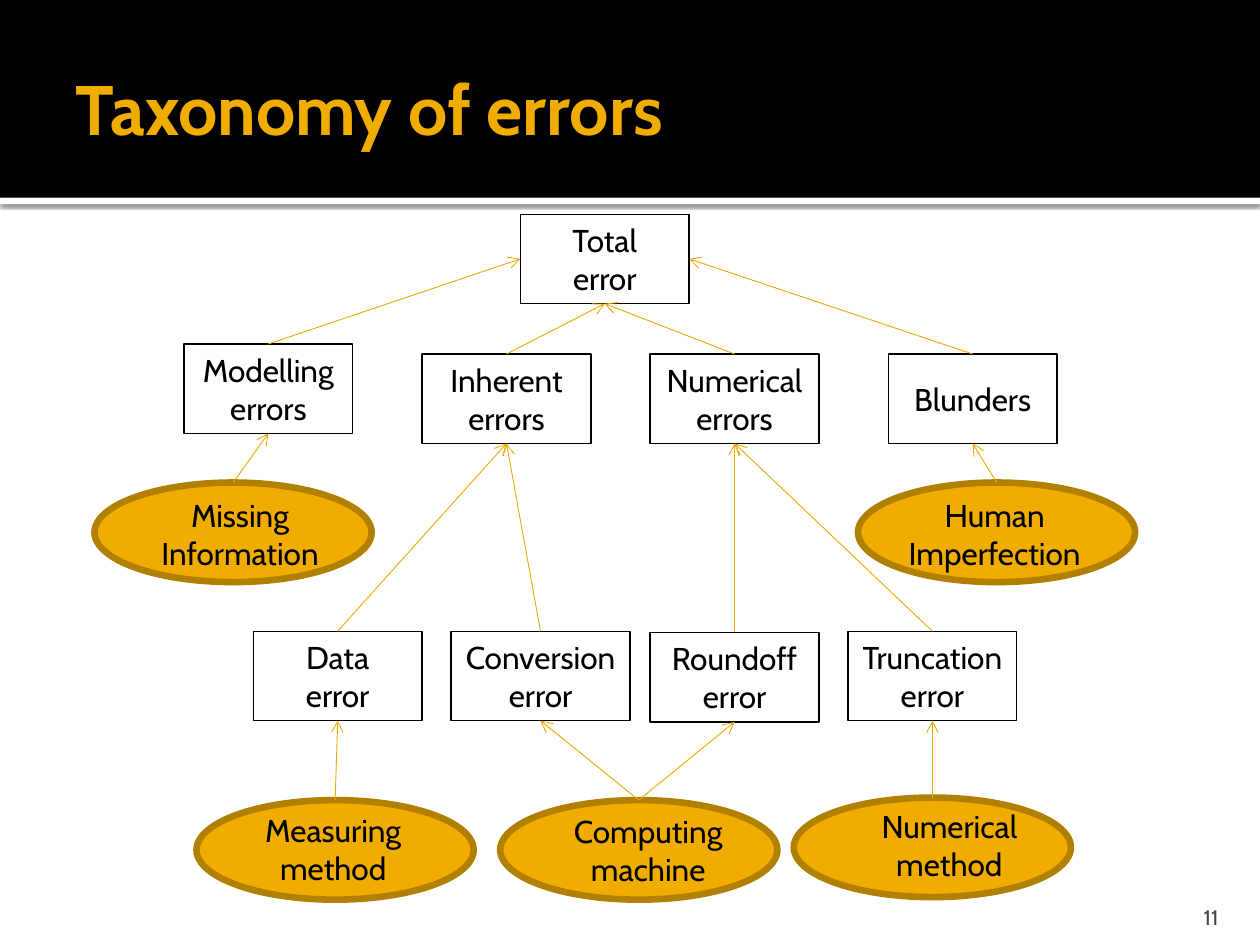
from lxml import etree
from pptx import Presentation
from pptx import util as u
from pptx.dml import color
from pptx.enum import shapes, text
from pptx.oxml import ns

FONT = "Cabin"
COLORS = {
    "black": "000000",
    "white": "FFFFFF",
    "gold": "F0AD00",
    "gold_edge": "B28000",
    "arrow": "EBA900",
    "number": "454545",
}
BOX_W, BOX_H = 1.34, 0.71
OVAL_W, OVAL_H = 2.2, 0.79
LABEL_W = 1.57
TOP, LEFT, BOTTOM, RIGHT = range(4)  # connection sites of a rectangle

# name: (wording, left, top, width)
ERRORS = {
    "total": ("Total\verror", 4.13, 1.7, BOX_W),
    "modelling": ("Modelling errors", 1.46, 2.73, BOX_W),
    "inherent": ("Inherent errors", 3.35, 2.81, BOX_W),
    "numerical": ("Numerical errors", 5.16, 2.81, BOX_W),
    "blunders": ("Blunders", 7.05, 2.81, BOX_W),
    "data": ("Data\verror", 2.01, 5.01, BOX_W),
    "conversion": ("Conversion error", 3.58, 5.01, 1.42),
    "roundoff": ("Roundoff error", 5.16, 5.02, BOX_W),
    "truncation": ("Truncation error", 6.73, 5.01, BOX_W),
}
# name: (wording, left, top, label offset right, label offset down)
SOURCES = {
    "information": ("Missing Information", 0.75, 3.83, 0.37, 0.05),
    "human": ("Human Imperfection", 6.81, 3.83, 0.3, 0.05),
    "method": ("Numerical method", 6.3, 6.33, 0.45, 0.02),
    "machine": ("Computing machine", 3.97, 6.35, 0.39, 0.04),
    "measuring": ("Measuring method", 1.56, 6.35, 0.3, 0.03),
}
# cause, effect, side of the effect that the arrow reaches
ARROWS = [
    ("modelling", "total", LEFT),
    ("inherent", "total", BOTTOM),
    ("numerical", "total", BOTTOM),
    ("blunders", "total", RIGHT),
    ("information", "modelling", BOTTOM),
    ("human", "blunders", BOTTOM),
    ("data", "inherent", BOTTOM),
    ("conversion", "inherent", BOTTOM),
    ("roundoff", "numerical", BOTTOM),
    ("truncation", "numerical", BOTTOM),
    ("measuring", "data", BOTTOM),
    ("machine", "conversion", BOTTOM),
    ("machine", "roundoff", BOTTOM),
    ("method", "truncation", BOTTOM),
]


def rgb(name):
    return color.RGBColor.from_string(COLORS[name])


def add_panel(slide, kind, box, fill=None, edge=None, edge_pt=0.75):
    panel = slide.shapes.add_shape(kind, *map(u.Inches, box))
    panel.shadow.inherit = False
    if fill:
        panel.fill.solid()
        panel.fill.fore_color.rgb = rgb(fill)
    else:
        panel.fill.background()
    if edge:
        panel.line.color.rgb = rgb(edge)
        panel.line.width = u.Pt(edge_pt)
    else:
        panel.line.fill.background()
    return panel


def write(holder, wording, size=18, ink="black", align=text.PP_ALIGN.CENTER,
          anchor=text.MSO_ANCHOR.MIDDLE, bold=False):
    frame = holder.text_frame
    frame.word_wrap = True
    frame.vertical_anchor = anchor
    paragraph = frame.paragraphs[0]
    paragraph.text = wording
    paragraph.alignment = align
    font = paragraph.font
    font.name, font.size, font.bold = FONT, u.Pt(size), bold
    font.color.rgb = rgb(ink)
    return frame


def add_label(slide, box, wording, **style):
    return write(slide.shapes.add_textbox(*map(u.Inches, box)), wording, **style)


def add_header(slide, left, top, width, height):
    """Black title band with a shadowed white rule under it."""
    rectangle = shapes.MSO_SHAPE.RECTANGLE
    rule = add_panel(slide, rectangle, (left, top + height, width, 0.05), "white")
    effects = rule._element.spPr.find(ns.qn("a:effectLst"))
    shadow = etree.SubElement(
        effects, ns.qn("a:outerShdw"), blurRad=str(u.Pt(2.5)), dist=str(u.Pt(0.8)),
        dir="5400000", algn="t", rotWithShape="0")
    tint = etree.SubElement(shadow, ns.qn("a:srgbClr"), val=COLORS["black"])
    etree.SubElement(tint, ns.qn("a:alpha"), val="60000")

    add_panel(slide, rectangle, (left, top, width, height), "black")
    title = add_label(slide, (left + 0.5, top + 0.17, width - 1, 1.37),
                      "Taxonomy of errors", size=40, ink="gold",
                      align=text.PP_ALIGN.LEFT, bold=True)
    title.margin_right = u.Inches(0.05)


def add_arrow(slide, cause, effect, side):
    arrow = slide.shapes.add_connector(shapes.MSO_CONNECTOR.STRAIGHT, 0, 0, 0, 0)
    arrow.begin_connect(cause, TOP)
    arrow.end_connect(effect, side)
    arrow.line.color.rgb = rgb("arrow")
    arrow.line.width = u.Pt(0.5)
    etree.SubElement(arrow.line._get_or_add_ln(), ns.qn("a:tailEnd"), type="arrow")
    etree.SubElement(arrow._element.spPr, ns.qn("a:effectLst"))


def add_taxonomy(slide, left, top):
    nodes = {}
    for name, (wording, x, y, width) in ERRORS.items():
        nodes[name] = add_panel(slide, shapes.MSO_SHAPE.RECTANGLE,
                                (left + x, top + y, width, BOX_H), edge="black")
        write(nodes[name], wording)
    for name, (_, x, y, _, _) in SOURCES.items():
        nodes[name] = add_panel(slide, shapes.MSO_SHAPE.OVAL,
                                (left + x, top + y, OVAL_W, OVAL_H),
                                "gold", "gold_edge", 3.78)
    for cause, effect, side in ARROWS:
        add_arrow(slide, nodes[cause], nodes[effect], side)
    for wording, x, y, right, down in SOURCES.values():
        add_label(slide, (left + x + right, top + y + down, LABEL_W, BOX_H), wording)


def add_page_number(slide, left, top, width, height):
    number = add_label(slide, (left, top, width, height), "11", size=12, ink="number",
                       align=text.PP_ALIGN.RIGHT, anchor=text.MSO_ANCHOR.BOTTOM)
    number.margin_bottom = 0


def main():
    deck = Presentation()
    deck.slide_width, deck.slide_height = u.Inches(10), u.Inches(7.5)
    slide = deck.slides.add_slide(deck.slide_layouts[6])
    add_header(slide, 0, 0, 10, 1.57)
    add_taxonomy(slide, 0, 0)
    add_page_number(slide, 8.97, 7.08, 0.8, 0.3)
    deck.save("out.pptx")


if __name__ == "__main__":
    main()
